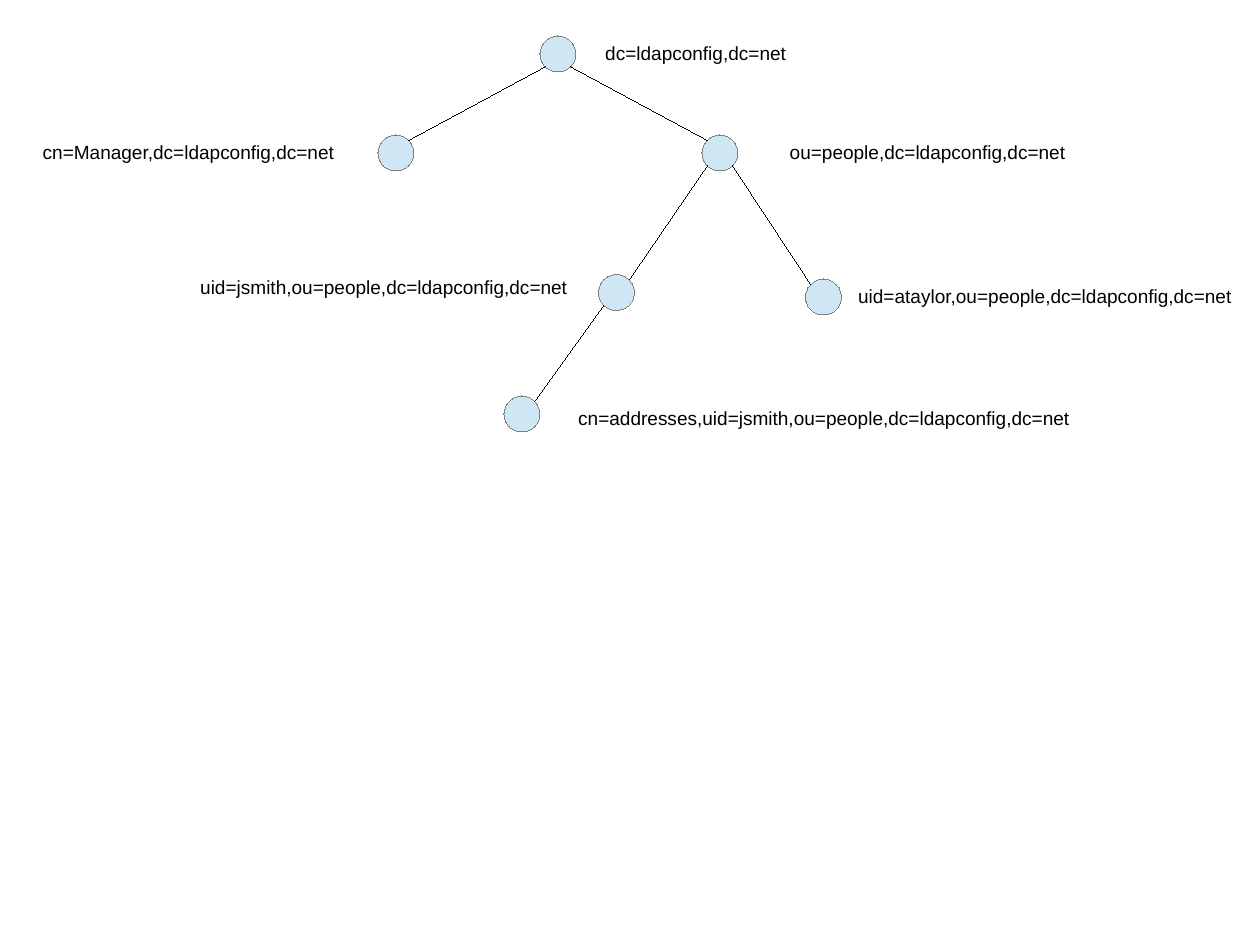
from dataclasses import dataclass
from math import copysign, sqrt

from lxml.etree import SubElement
from pptx import Presentation
from pptx.dml.color import RGBColor
from pptx.enum.shapes import MSO_CONNECTOR, MSO_SHAPE
from pptx.enum.text import MSO_ANCHOR, MSO_AUTO_SIZE
from pptx.oxml.ns import qn
from pptx.util import Cm, Pt

COLUMNS, ROWS = 28, 21
SLIDE_WIDTH = Cm(COLUMNS)
SLIDE_HEIGHT = Cm(ROWS)
NODE_SIZE = 0.8
LABEL_HEIGHT = 0.6
HAIRLINE = Pt(0.01)
NODE_FILL, NODE_LINE, BLACK = "CFE7F5", "808080", "000000"


@dataclass
class Entry:
    column: float
    row: float
    label: str
    label_column: float
    label_row: float
    label_width: float
    parent: str = ""


ENTRIES = {
    "root": Entry(12, 0.8, "dc=ldapconfig,dc=net", 13.2, 0.8, 4.6),
    "manager": Entry(8.4, 3, "cn=Manager,dc=ldapconfig,dc=net", 0.7, 3, 7.7, "root"),
    "people": Entry(15.6, 3, "ou=people,dc=ldapconfig,dc=net", 17.3, 3, 9.9, "root"),
    "jsmith": Entry(13.3, 6.1, "uid=jsmith,ou=people,dc=ldapconfig,dc=net",
                    4.2, 6, 8.7, "people"),
    "ataylor": Entry(17.9, 6.2, "uid=ataylor,ou=people,dc=ldapconfig,dc=net",
                     18.82, 6.2, 8.85, "people"),
    "addresses": Entry(11.2, 8.8, "cn=addresses,uid=jsmith,ou=people,dc=ldapconfig,dc=net",
                       12.6, 8.9, 11.6, "jsmith"),
}


def across(columns):
    return round(SLIDE_WIDTH * columns / COLUMNS)


def down(rows):
    return round(SLIDE_HEIGHT * rows / ROWS)


def color(value):
    return RGBColor.from_string(value)


def set_line(line, value):
    line.color.rgb = color(value)
    line.width = HAIRLINE


def add_node(slide, entry):
    node = slide.shapes.add_shape(
        MSO_SHAPE.OVAL, across(entry.column), down(entry.row),
        across(NODE_SIZE), down(NODE_SIZE))
    node.shadow.inherit = False
    node.fill.solid()
    node.fill.fore_color.rgb = color(NODE_FILL)
    set_line(node.line, NODE_LINE)


def add_branch(slide, parent, child):
    center = NODE_SIZE / 2
    reach = center / sqrt(2)
    sideways = copysign(reach, child.column - parent.column)
    branch = slide.shapes.add_connector(
        MSO_CONNECTOR.STRAIGHT,
        across(parent.column + center + sideways), down(parent.row + center + reach),
        across(child.column + center - sideways), down(child.row + center - reach))
    set_line(branch.line, BLACK)
    SubElement(branch._element.spPr, qn("a:effectLst"))


def add_text(slide, text, column, row, width, *, font="Arial", size=12, text_color=BLACK):
    box = slide.shapes.add_textbox(
        across(column), down(row), across(width), down(LABEL_HEIGHT))
    frame = box.text_frame
    frame.word_wrap = True
    frame.auto_size = MSO_AUTO_SIZE.NONE
    frame.vertical_anchor = MSO_ANCHOR.TOP
    run = frame.paragraphs[0].add_run()
    run.text = text
    run.font.name = font
    run.font.size = Pt(size)
    run.font.color.rgb = color(text_color)


def main():
    presentation = Presentation()
    presentation.slide_width = SLIDE_WIDTH
    presentation.slide_height = SLIDE_HEIGHT
    slide = presentation.slides.add_slide(presentation.slide_layouts[6])
    for entry in ENTRIES.values():
        add_node(slide, entry)
    for entry in ENTRIES.values():
        if entry.parent:
            add_branch(slide, ENTRIES[entry.parent], entry)
    for entry in ENTRIES.values():
        add_text(slide, entry.label, entry.label_column, entry.label_row, entry.label_width)
    presentation.save("out.pptx")


if __name__ == "__main__":
    main()
